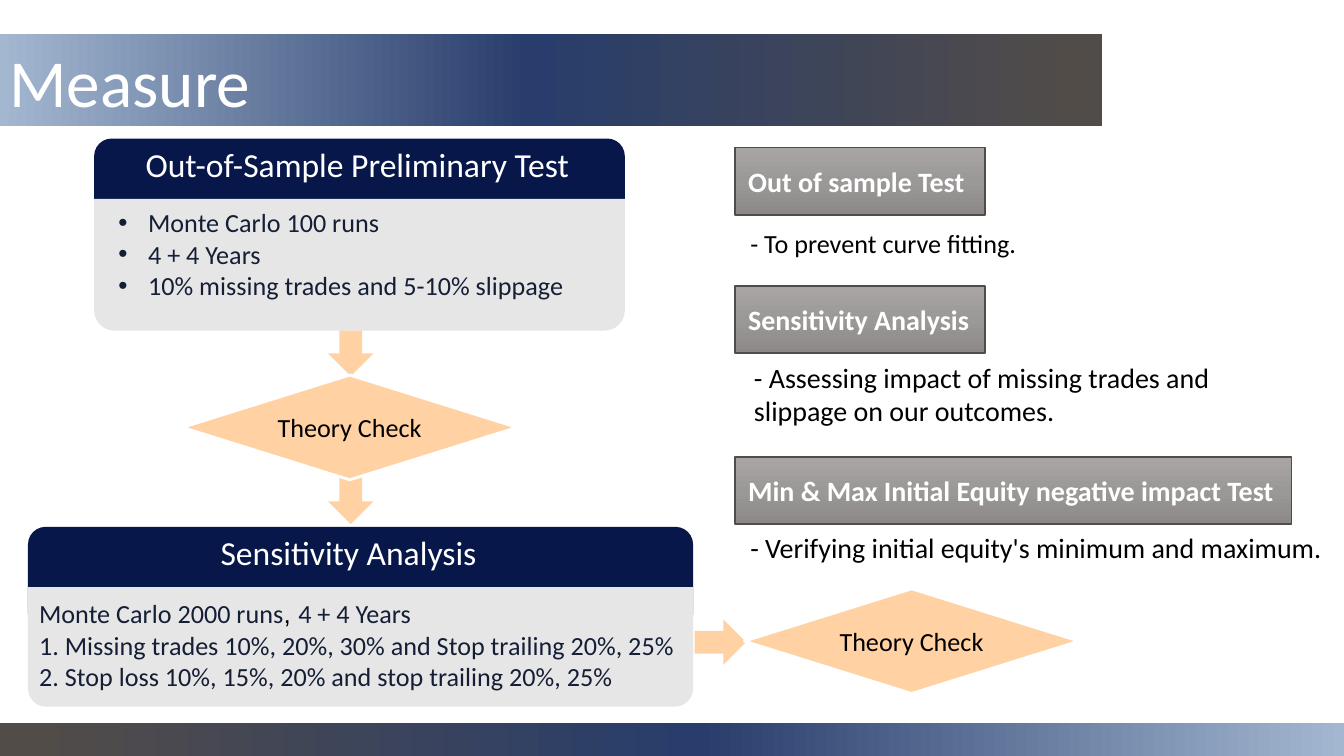
from lxml import etree
from pptx import Presentation
from pptx.dml.color import RGBColor
from pptx.enum.shapes import MSO_SHAPE
from pptx.enum.text import MSO_ANCHOR, MSO_AUTO_SIZE, PP_ALIGN
from pptx.oxml.ns import qn
from pptx.util import Cm, Pt

RECT, ROUND = MSO_SHAPE.RECTANGLE, MSO_SHAPE.ROUNDED_RECTANGLE
DOWN, RIGHT = MSO_SHAPE.DOWN_ARROW, MSO_SHAPE.RIGHT_ARROW
GEM = MSO_SHAPE.DIAMOND
TOP, MID = MSO_ANCHOR.TOP, MSO_ANCHOR.MIDDLE
LEFT, MIDST = PP_ALIGN.LEFT, PP_ALIGN.CENTER
FIXED = MSO_AUTO_SIZE.NONE

HUES = {"navy": "08174A", "ash": "E7E6E6", "ink": "141E35", "peach": "FFD1A3",
        "white": "FFFFFF", "black": "000000", "edge": "524C49"}
BAND = [(0, "A3B7D1"), (48, "283D6B"), (98, "524C49"), (100, "524C49")]
STEEL = [(0, "A8A5A4"), (50, "9B9998"), (100, "8B8887")]
FONT = "Calibri"

TITLE = "Measure"
CARDS = [
    {"box": (1.78, 2.62, 10.03), "body": 2.29, "bullet": True,
     "head": "Out-of-Sample Preliminary Test", "head_at": (2.13, 9.25),
     "text_at": (2.01, 3.81, 9.55, 1.98),
     "text": [["Monte Carlo 100 runs"], ["4 + 4 Years"],
              ["10% missing trades and 5-10% slippage"]]},
    {"box": (0.53, 9.96, 12.57), "body": 2.06, "bullet": False,
     "head": "Sensitivity Analysis", "head_at": (0.61, 11.96),
     "text_at": (0.56, 11.2, 13.18, 1.98),
     "text": [["Monte Carlo 2000 runs", (", ", "Arial", "black"), "4 + 4 Years"],
              ["1. Missing trades 10%, 20%, 30% and Stop trailing 20%, 25%"],
              ["2. Stop loss 10%, 15%, 20% and stop trailing 20%, 25%"]]},
]
ARROWS = [(DOWN, (6.2, 6.25, 0.86, 0.86)), (DOWN, (6.2, 8.94, 0.86, 0.97)),
          (RIGHT, (13.13, 11.71, 0.97, 0.86))]
CHECK = "Theory Check"
GEMS = [(3.45, 7.09), (14.07, 11.13)]
TAGS = [("Out of sample Test", 2.79, 4.72),
        ("Sensitivity Analysis", 5.41, 4.72),
        ("Min & Max Initial Equity negative impact Test", 8.64, 10.52)]
NOTES = [("- To prevent curve fitting.", (14, 4.19, 13.41, 0.79), 14),
         ("- Assessing impact of missing trades and slippage on our outcomes.",
          (14.07, 6.71, 10.52, 1.47), 15),
         ("- Verifying initial equity's minimum and maximum.",
          (14, 9.93, 11.58, 0.84), 15)]

deck = Presentation()
deck.slide_width, deck.slide_height = Cm(25.4), Cm(14.29)
slide = deck.slides.add_slide(deck.slide_layouts[5])


def shade(shape, stops, angle=0):
    shape.fill.gradient()
    shape.fill.gradient_angle = angle
    group = shape.element.spPr.find(qn("a:gradFill")).find(qn("a:gsLst"))
    for old in list(group):
        group.remove(old)
    for place, hue in stops:
        stop = etree.SubElement(group, qn("a:gs"), pos=str(place * 1000))
        etree.SubElement(stop, qn("a:srgbClr"), val=hue)


def draw(kind, box, fill=None, line=None, width=1):
    shape = slide.shapes.add_shape(kind, *map(Cm, box))
    shape.shadow.inherit = False
    if fill:
        shape.fill.solid()
        shape.fill.fore_color.rgb = RGBColor.from_string(HUES[fill])
    if line:
        shape.line.color.rgb = RGBColor.from_string(HUES[line])
        shape.line.width = Pt(width)
    else:
        shape.line.fill.background()
    return shape


def dot(para):
    props = para._p.get_or_add_pPr()
    props.set("marL", str(Cm(0.61)))
    props.set("indent", str(Cm(-0.56)))
    tint = etree.SubElement(props, qn("a:buClr"))
    etree.SubElement(tint, qn("a:srgbClr"), val=HUES["ink"])
    etree.SubElement(props, qn("a:buFont"), typeface="Arial")
    etree.SubElement(props, qn("a:buChar"), char="•")


def write(shape, paras, size, hue, align=LEFT, anchor=TOP,
          pad=(0.18, 0.1), bold=False, bullet=False):
    frame = shape.text_frame
    frame.word_wrap = True
    frame.auto_size = FIXED
    frame.vertical_anchor = anchor
    frame.margin_left = frame.margin_right = Cm(pad[0])
    frame.margin_top = frame.margin_bottom = Cm(pad[1])
    for i, runs in enumerate(paras):
        para = frame.add_paragraph() if i else frame.paragraphs[0]
        para.alignment = align
        if bullet:
            dot(para)
        for item in runs:
            text, face, tint = (item, FONT, hue) if isinstance(item, str) else item
            run = para.add_run()
            run.text = text
            run.font.name = face
            run.font.size = Pt(size)
            run.font.bold = bold
            run.font.color.rgb = RGBColor.from_string(HUES[tint])


def label(box):
    return slide.shapes.add_textbox(*map(Cm, box))


title = slide.shapes.title
title.left, title.top, title.width, title.height = map(Cm, (0, 0.64, 20.83, 1.75))
shade(title, BAND)
write(title, [[TITLE]], 36, "white", anchor=MID)

for text, box, size in NOTES:
    write(label(box), [[text]], size, "black")

for card in CARDS:
    left, top, width = card["box"]
    x, span = card["head_at"]
    draw(ROUND, (left, top, width, 1.98), "navy")
    write(label((x, top, span, 0.97)), [[card["head"]]], 18, "white", MIDST)
    draw(ROUND, (left, top + 1.34, width, card["body"]), "ash")
    draw(RECT, (left, top + 1.14, width, 0.64), "ash")
    write(label(card["text_at"]), card["text"], 14, "ink", bullet=card["bullet"])

for kind, box in ARROWS:
    draw(kind, box, "peach")

for x, y in GEMS:
    gem = draw(GEM, (x, y, 6.32, 1.98), "peach", "white", 1.5)
    write(gem, [[CHECK]], 14, "black", MIDST, MID)

for text, y, width in TAGS:
    tag = draw(RECT, (13.89, y, width, 1.27), line="edge")
    shade(tag, STEEL, 270)
    write(tag, [[text]], 15, "white", anchor=MID, pad=(0.25, 0.25), bold=True)

foot = draw(RECT, (0, 13.66, 25.4, 0.63))
shade(foot, [(100 - place, hue) for place, hue in reversed(BAND)])

deck.save("out.pptx")
